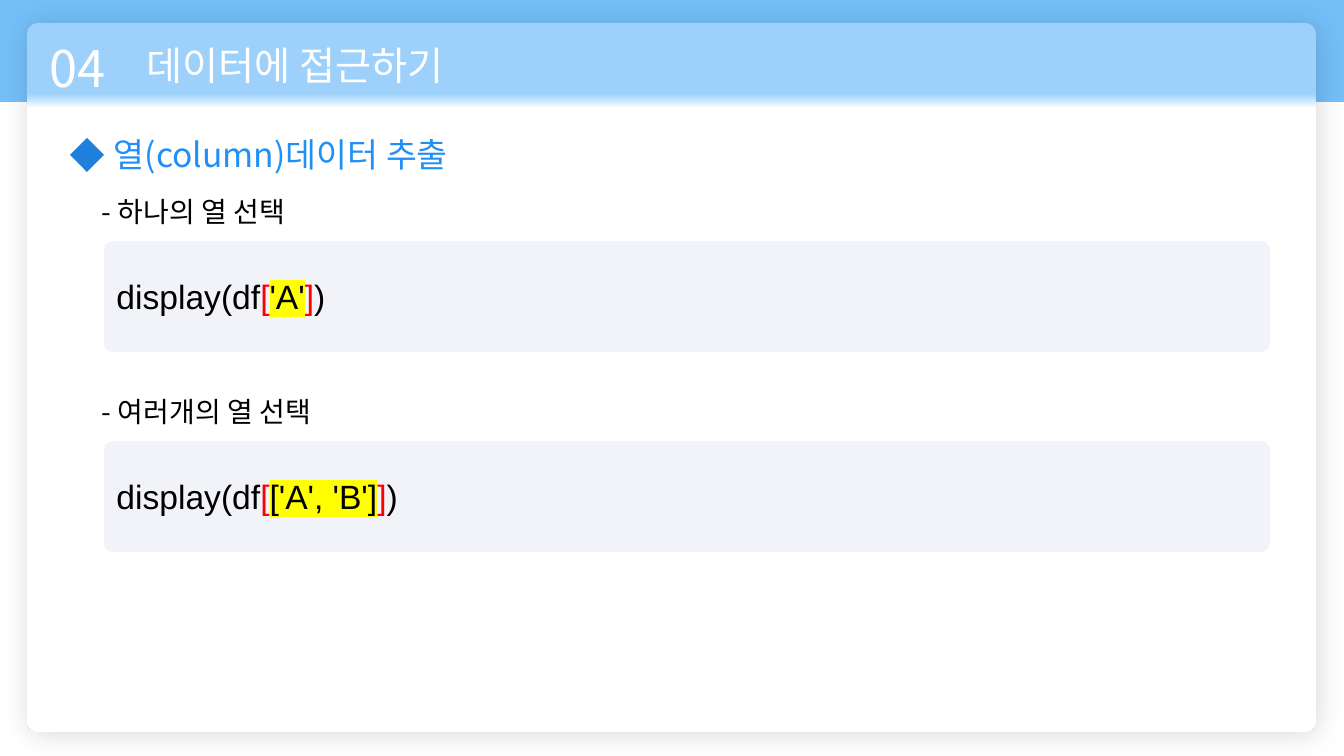
"""Build the slide on selecting DataFrame columns."""
from dataclasses import dataclass

import lxml.etree
import pptx
import pptx.dml.color
import pptx.enum.shapes
import pptx.enum.text
import pptx.oxml
import pptx.oxml.ns
import pptx.util

PX = 914400 / 100.8
COLORS = {
    "band": "74BFF8",
    "header": "9DD1FB",
    "white": "FFFFFF",
    "heading": "228FF4",
    "diamond": "1F80DB",
    "code_box": "F2F3F9",
    "black": "000000",
    "bracket": "FF0000",
    "highlight": "FFFF00",
}
KOREAN_FONT = "Noto Sans CJK KR"
CODE_FONT = "Arial"
SHAPES = pptx.enum.shapes.MSO_SHAPE
SECTION_TOP = 190
SECTION_STEP = 200
CODE_OFFSET = 51


@dataclass(frozen=True)
class Box:
    left: int
    top: int
    width: int
    height: int

    def emu(self) -> list[pptx.util.Emu]:
        return [pptx.util.Emu(round(side * PX))
                for side in (self.left, self.top, self.width, self.height)]


@dataclass(frozen=True)
class Span:
    text: str
    color: str = "black"
    highlight: bool = False


@dataclass(frozen=True)
class Label:
    box: Box
    span: Span
    size: int


@dataclass(frozen=True)
class Section:
    title: str
    selection: str


LABELS = [
    Label(Box(40, 32, 103, 72), Span("04", "white"), 36),
    Label(Box(137, 36, 494, 57), Span("데이터에 접근하기", "white"), 28),
    Label(Box(104, 129, 519, 50), Span("열(column)데이터 추출", "heading"), 24),
]
SECTIONS = [
    Section("- 하나의 열 선택", "'A'"),
    Section("- 여러개의 열 선택", "['A', 'B']"),
]


def rgb(name: str) -> pptx.dml.color.RGBColor:
    return pptx.dml.color.RGBColor.from_string(COLORS[name])


def element(xml: str) -> lxml.etree._Element:
    opening, rest = xml.split(">", 1)
    slash = "/" if opening.endswith("/") else ""
    opening = opening.rstrip("/")
    return pptx.oxml.parse_xml(f"{opening} {pptx.oxml.ns.nsdecls('a')}{slash}>{rest}")


def add_span(para, span: Span, font_name: str, size: int) -> None:
    run = para.add_run()
    run.text = span.text
    values = {"name": font_name, "size": pptx.util.Pt(size)}
    for attribute, value in values.items():
        setattr(run.font, attribute, value)
    run.font.color.rgb = rgb(span.color)
    latin = run.font._element.find(pptx.oxml.ns.qn("a:latin"))
    latin.addnext(element(f'<a:ea typeface="{font_name}"/>'))
    if span.highlight:
        latin.addprevious(element(
            f'<a:highlight><a:srgbClr val="{COLORS["highlight"]}"/></a:highlight>'))


def add_label(page, label: Label) -> None:
    frame = page.shapes.add_textbox(*label.box.emu()).text_frame
    values = {"word_wrap": True,
              "auto_size": pptx.enum.text.MSO_AUTO_SIZE.SHAPE_TO_FIT_TEXT}
    for attribute, value in values.items():
        setattr(frame, attribute, value)
    add_span(frame.paragraphs[0], label.span, KOREAN_FONT, label.size)


def add_panel(page, kind, box: Box, color: str, corner: float | None = None):
    shape = page.shapes.add_shape(kind, *box.emu())
    shape.shadow.inherit = False
    shape.fill.solid()
    shape.fill.fore_color.rgb = rgb(color)
    shape.line.fill.background()
    if corner is not None:
        shape.adjustments[0] = corner
    return shape


def add_card(page) -> None:
    card = add_panel(page, SHAPES.ROUNDED_RECTANGLE, Box(27, 23, 1289, 709), "white", 0.016)
    properties = card._element.spPr
    stops = "".join(
        f'<a:gs pos="{position * 1000}"><a:srgbClr val="{COLORS[color]}"/></a:gs>'
        for position, color in ((10, "header"), (12, "white"), (100, "white")))
    solid = properties.find(pptx.oxml.ns.qn("a:solidFill"))
    properties.replace(solid, element(
        f'<a:gradFill><a:gsLst>{stops}</a:gsLst><a:lin ang="5400000" scaled="0"/></a:gradFill>'))
    effects = properties.find(pptx.oxml.ns.qn("a:effectLst"))
    blur, distance = pptx.util.Pt(20), pptx.util.Pt(3)
    effects.append(element(
        f'<a:outerShdw blurRad="{blur}" dist="{distance}" dir="2700000" algn="tl" '
        f'rotWithShape="0"><a:srgbClr val="{COLORS["black"]}"><a:alpha val="14000"/>'
        '</a:srgbClr></a:outerShdw>'))


def add_section(page, section: Section, top: int) -> None:
    add_label(page, Label(Box(92, top, 1072, 44), Span(section.title), 20))
    panel = add_panel(page, SHAPES.ROUNDED_RECTANGLE,
                      Box(104, top + CODE_OFFSET, 1166, 111), "code_box", 0.078)
    frame = panel.text_frame
    frame.vertical_anchor = pptx.enum.text.MSO_ANCHOR.MIDDLE
    para = frame.paragraphs[0]
    para.alignment = pptx.enum.text.PP_ALIGN.LEFT
    for span in (Span("display(df"), Span("[", "bracket"),
                 Span(section.selection, highlight=True),
                 Span("]", "bracket"), Span(")")):
        add_span(para, span, CODE_FONT, 24)


def main() -> None:
    deck = pptx.Presentation()
    deck.slide_width, deck.slide_height = Box(0, 0, 1344, 756).emu()[2:]
    page = deck.slides.add_slide(deck.slide_layouts[6])
    add_panel(page, SHAPES.RECTANGLE, Box(0, 0, 1344, 102), "band")
    add_card(page)
    for label in LABELS:
        add_label(page, label)
    add_panel(page, SHAPES.DIAMOND, Box(70, 138, 34, 34), "diamond")
    for index, section in enumerate(SECTIONS):
        add_section(page, section, SECTION_TOP + index * SECTION_STEP)
    deck.save("out.pptx")


if __name__ == "__main__":
    main()
